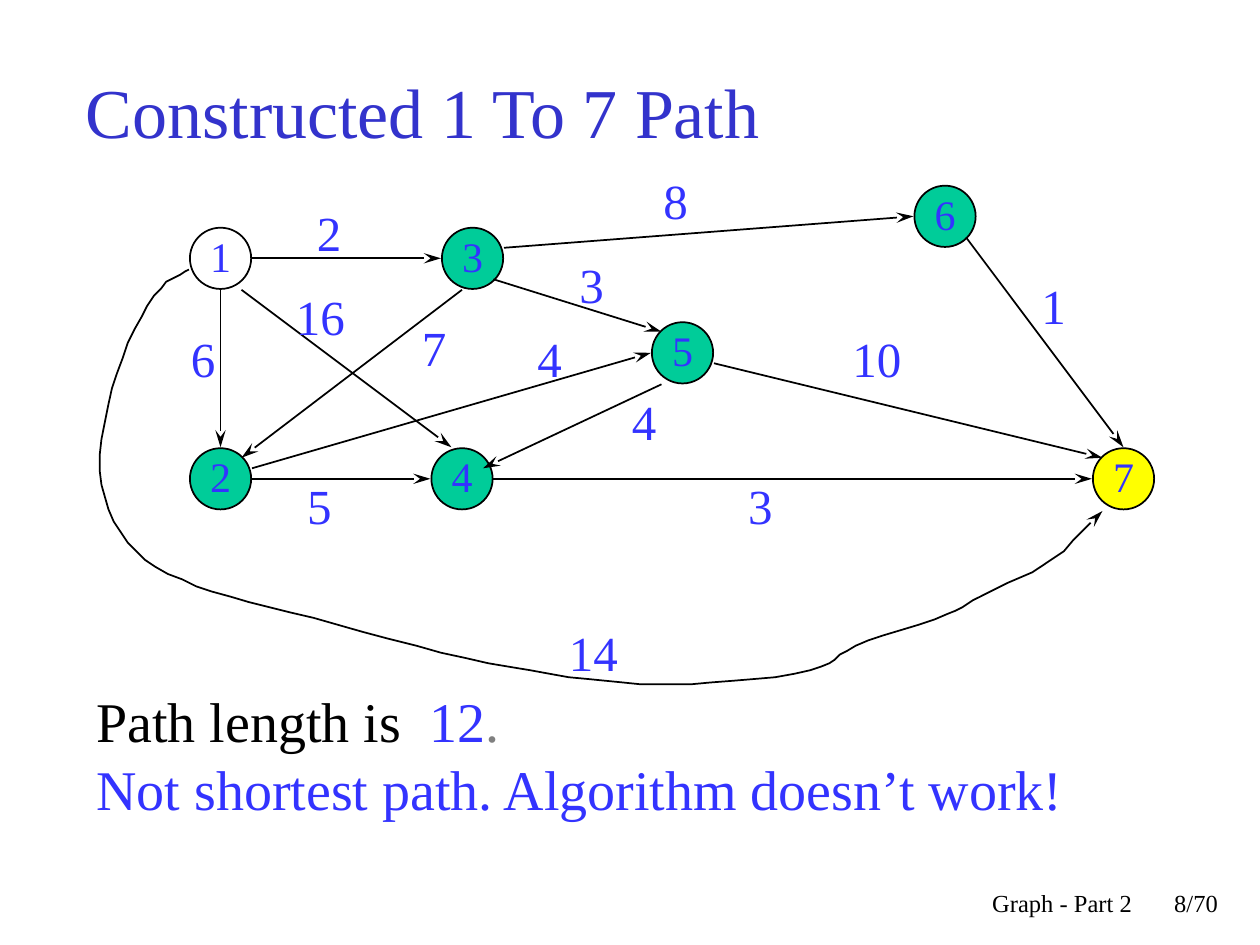
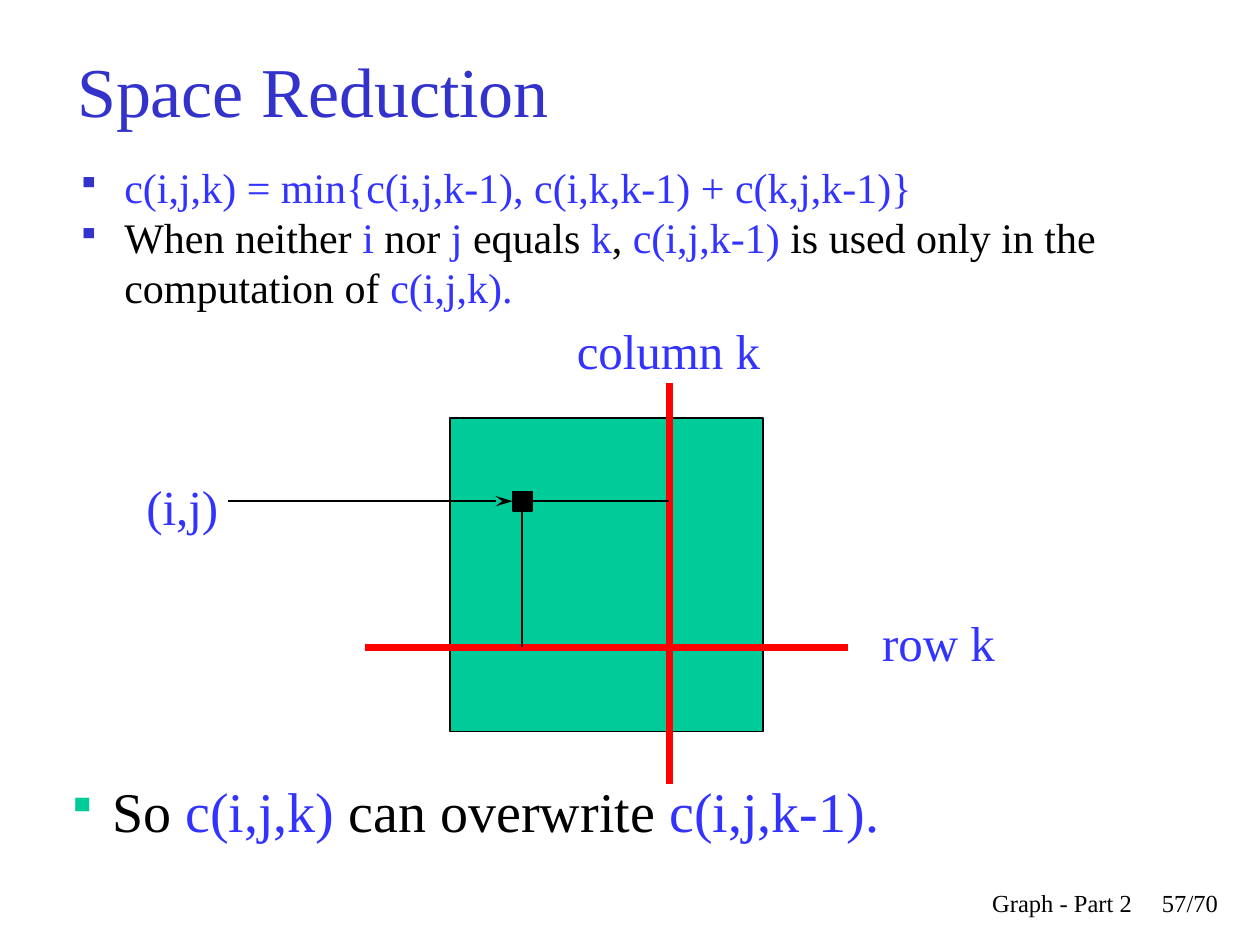
"""Build two lecture slides on shortest paths: a greedy path example and space reduction."""
import itertools
from dataclasses import dataclass
from typing import Optional

import lxml.etree
import pptx
import pptx.dml.color
import pptx.enum.shapes
import pptx.enum.text
import pptx.oxml.ns
import pptx.util

Pt = pptx.util.Pt
SHAPES = pptx.enum.shapes.MSO_SHAPE
ANCHOR = pptx.enum.text.MSO_ANCHOR
ALIGN = pptx.enum.text.PP_ALIGN
qn = pptx.oxml.ns.qn

COLORS = {
    "title": "3333CC",
    "accent": "3333FF",
    "text": "000000",
    "muted": "808080",
    "visited": "00CC99",
    "start": "FFFFFF",
    "goal": "FFFF00",
    "pivot": "FF0000",
}
FONT = "Times New Roman"
NODE_SIZE = 35
GRID = 6
LABEL_HEIGHT = 41
STEPS_PER_SPAN = 6

RIGHT, LEFT, TOP, BOTTOM = (3, 0), (-3, 0), (0, -3), (0, 3)
UPPER_LEFT, UPPER_RIGHT, LOWER_RIGHT = (-2, -2), (2, -2), (2, 2)


@dataclass(frozen=True)
class Box:
    left: float
    top: float
    width: float
    height: float

    def lengths(self) -> list:
        return [Pt(v) for v in (self.left, self.top, self.width, self.height)]


@dataclass(frozen=True)
class Line:
    runs: tuple
    indent: float = 0
    bullet_color: Optional[str] = None


@dataclass(frozen=True)
class Node:
    x: float
    y: float
    color: str = "visited"

    def port(self, offset: tuple) -> tuple:
        return self.x + GRID * offset[0], self.y + GRID * offset[1]


@dataclass(frozen=True)
class Edge:
    source: int
    leaves: tuple
    target: int
    enters: tuple
    weight: str
    label_at: tuple
    via: tuple = ()


def rgb(color: str) -> pptx.dml.color.RGBColor:
    return pptx.dml.color.RGBColor.from_string(COLORS[color])


def set_indent(paragraph, line: Line) -> None:
    properties = paragraph._p.get_or_add_pPr()
    properties.set("marL", str(Pt(line.indent)))
    properties.set("indent", str(-Pt(line.indent)))
    if line.bullet_color:
        bullet_color = lxml.etree.SubElement(properties, qn("a:buClr"))
        lxml.etree.SubElement(bullet_color, qn("a:srgbClr"), val=COLORS[line.bullet_color])
        lxml.etree.SubElement(properties, qn("a:buSzPct"), val="75000")
        lxml.etree.SubElement(properties, qn("a:buChar"), char="▪")


def write_lines(frame, lines: list, size: float, align=None) -> None:
    for index, line in enumerate(lines):
        paragraph = frame.add_paragraph() if index else frame.paragraphs[0]
        if line.indent:
            set_indent(paragraph, line)
        if align is not None:
            paragraph.alignment = align
        paragraph.font.name = FONT
        paragraph.font.size = Pt(size)
        shared_color = len({color for _, color in line.runs}) == 1
        if shared_color:
            paragraph.font.color.rgb = rgb(line.runs[0][1])
        for text, color in line.runs:
            run = paragraph.add_run()
            run.text = text
            if not shared_color:
                run.font.color.rgb = rgb(color)


def add_text(slide, box: Box, lines: list, size: float, anchor=ANCHOR.TOP, align=None) -> None:
    frame = slide.shapes.add_textbox(*box.lengths()).text_frame
    frame.word_wrap = True
    frame.vertical_anchor = anchor
    write_lines(frame, lines, size, align)


def add_label(slide, text: str, left: float, top: float, width: float) -> None:
    add_text(slide, Box(left, top, width, LABEL_HEIGHT), [Line(((text, "accent"),))], 28)


def add_filled(slide, kind, box: Box, color: str):
    shape = slide.shapes.add_shape(kind, *box.lengths())
    shape.shadow.inherit = False
    shape.fill.solid()
    shape.fill.fore_color.rgb = rgb(color)
    shape.line.color.rgb = rgb("text")
    shape.line.width = Pt(1)
    return shape


def add_node(slide, number: int, node: Node) -> None:
    half = NODE_SIZE / 2
    box = Box(node.x - half, node.y - half, NODE_SIZE, NODE_SIZE)
    frame = add_filled(slide, SHAPES.OVAL, box, node.color).text_frame
    frame.margin_left = frame.margin_right = frame.margin_top = 0
    frame.margin_bottom = Pt(3)
    frame.word_wrap = False
    frame.vertical_anchor = ANCHOR.MIDDLE
    write_lines(frame, [Line(((str(number), "accent"),))], 24, ALIGN.CENTER)


def style_stroke(stroke, color: str, width: float, arrow: bool) -> None:
    stroke.line.color.rgb = rgb(color)
    stroke.line.width = Pt(width)
    if arrow:
        lxml.etree.SubElement(stroke.line._get_or_add_ln(), qn("a:tailEnd"),
                              type="stealth", w="med", len="lg")


def add_line(slide, start: tuple, end: tuple, color: str = "text",
             width: float = 1, arrow: bool = False) -> None:
    connector = slide.shapes.add_connector(
        pptx.enum.shapes.MSO_CONNECTOR.STRAIGHT, *[Pt(v) for v in start + end])
    style_stroke(connector, color, width, arrow)
    lxml.etree.SubElement(connector._element.spPr, qn("a:effectLst"))


def spline(before: float, start: float, end: float, after: float, t: float) -> float:
    return start + t / 2 * (end - before + t * (
        2 * before - 5 * start + 4 * end - after
        + t * (3 * (start - end) + after - before)))


def smooth_route(waypoints: list) -> list:
    padded = [waypoints[0], *waypoints, waypoints[-1]]
    route = [waypoints[0]]
    for span in zip(padded, padded[1:], padded[2:], padded[3:]):
        for step in range(1, STEPS_PER_SPAN + 1):
            t = step / STEPS_PER_SPAN
            route.append(tuple(spline(*axis, t) for axis in zip(*span)))
    return route


def add_curved_arrow(slide, waypoints: list) -> None:
    start, *rest = smooth_route(waypoints)
    builder = slide.shapes.build_freeform(*start, scale=Pt(1))
    builder.add_line_segments(rest, close=False)
    curve = builder.convert_to_shape()
    curve.shadow.inherit = False
    curve.fill.background()
    style_stroke(curve, "text", 1, True)


def add_edge(slide, edge: Edge) -> None:
    start = NODES[edge.source].port(edge.leaves)
    end = NODES[edge.target].port(edge.enters)
    if edge.via:
        add_curved_arrow(slide, [start, *edge.via, end])
    else:
        add_line(slide, start, end, arrow=True)
    add_label(slide, edge.weight, *edge.label_at, 12 + 18 * len(edge.weight))


def add_slide(deck, title: str, title_box: Box, page: int):
    slide = deck.slides.add_slide(deck.slide_layouts[6])
    add_text(slide, title_box, [Line(((title, "title"),))], 40, ANCHOR.MIDDLE)
    for text, box in ((f"{page}/70", Box(654, 504, 49, 36)),
                      ("Graph - Part 2", Box(426, 504, 228, 36))):
        add_text(slide, box, [Line(((text, "text"),))], 14, align=ALIGN.RIGHT)
    return slide


UPPER_ROW, LOWER_ROW = 147.6, 273.6
NODES = {
    1: Node(126, UPPER_ROW, "start"),
    2: Node(126, LOWER_ROW),
    3: Node(270, UPPER_ROW),
    4: Node(264, LOWER_ROW),
    5: Node(390, 201.6),
    6: Node(540, 123.6),
    7: Node(642, LOWER_ROW, "goal"),
}

AROUND_THE_GRAPH = (
    (88, 169), (67, 213), (57, 269), (73, 310), (112, 335), (179, 353), (266, 376),
    (336, 388), (395, 391), (463, 383), (489, 369), (541, 351), (564, 339), (602, 319),
)
EDGES = [
    Edge(1, RIGHT, 3, LEFT, "2", (174, 112)),
    Edge(1, BOTTOM, 2, TOP, "6", (102, 184)),
    Edge(1, (2, 3), 4, (-1, -3), "16", (162, 160)),
    Edge(3, (-1, 3), 2, UPPER_RIGHT, "7", (234, 178)),
    Edge(3, (3, -1), 6, LEFT, "8", (372, 94)),
    Edge(5, (3, 1), 7, UPPER_LEFT, "10", (480, 184)),
    Edge(3, LOWER_RIGHT, 5, UPPER_LEFT, "3", (324, 142)),
    Edge(2, (3, -1), 5, LEFT, "4", (300, 184)),
    Edge(5, (-2, 3), 4, (2, -1), "4", (354, 220)),
    Edge(2, RIGHT, 4, LEFT, "5", (168.5, 268)),
    Edge(4, RIGHT, 7, LEFT, "3", (420.5, 268)),
    Edge(6, LOWER_RIGHT, 7, TOP, "1", (588, 154)),
    Edge(1, (-3, 1), 7, (-2, 3), "14", (318, 352), AROUND_THE_GRAPH),
]


def build_path_slide(deck) -> None:
    slide = add_slide(deck, "Constructed 1 To 7 Path", Box(42, 18, 612, 90), 8)
    for number, node in NODES.items():
        add_node(slide, number, node)
    for edge in EDGES:
        add_edge(slide, edge)
    add_text(slide, Box(48, 389, 612, 90), [
        Line((("Path length is  ", "text"), ("12", "accent"), (".", "muted")), 27),
        Line((("Not shortest path. Algorithm doesn’t work!", "accent"),), 27),
    ], 32)


def alternate(*texts: str) -> tuple:
    return tuple(zip(texts, itertools.cycle(("text", "accent"))))


def build_space_slide(deck) -> None:
    slide = add_slide(deck, "Space Reduction", Box(37, 15, 612, 72), 57)
    add_text(slide, Box(37, 88.5, 654, 130), [
        Line((("c(i,j,k) = min{c(i,j,k-1), c(i,k,k-1) + c(k,j,k-1)}", "accent"),), 27, "title"),
        Line(alternate("When neither ", "i ", "nor", " j", " equals ", "k", ", ", "c(i,j,k-1)",
                       " is used only in the computation of ", "c(i,j,k)."), 27, "title"),
    ], 24)

    column_k, row_k = 382.5, 370
    cell_x, cell_y, cell_size = 298.5, 286.4, 11
    half = cell_size / 2
    add_filled(slide, SHAPES.RECTANGLE, Box(257, 239, 179, 179), "visited")
    add_line(slide, (column_k, 219), (column_k, 448), "pivot", 4)
    add_line(slide, (208.5, row_k), (484.5, row_k), "pivot", 4)
    add_filled(slide, SHAPES.RECTANGLE,
               Box(cell_x - half, cell_y - half, cell_size, cell_size), "text")
    add_line(slide, (cell_x, cell_y + half), (cell_x, row_k))
    add_line(slide, (cell_x, cell_y), (column_k, cell_y))
    add_line(slide, (130.5, cell_y), (cell_x - half, cell_y), arrow=True)

    add_label(slide, "column k", 322.5, 179.5, 126)
    add_label(slide, "row k", 497, 346.5, 126)
    add_label(slide, "(i,j)", 76.5, 268.5, 60)
    add_text(slide, Box(31, 440, 594, 45), [
        Line(alternate(" So ", "c(i,j,k)", " can overwrite ", "c(i,j,k-1)."), 17.3, "visited"),
    ], 32)


def main() -> None:
    deck = pptx.Presentation()
    deck.slide_width, deck.slide_height = Pt(720), Pt(540)
    build_path_slide(deck)
    build_space_slide(deck)
    deck.save("out.pptx")


if __name__ == "__main__":
    main()
